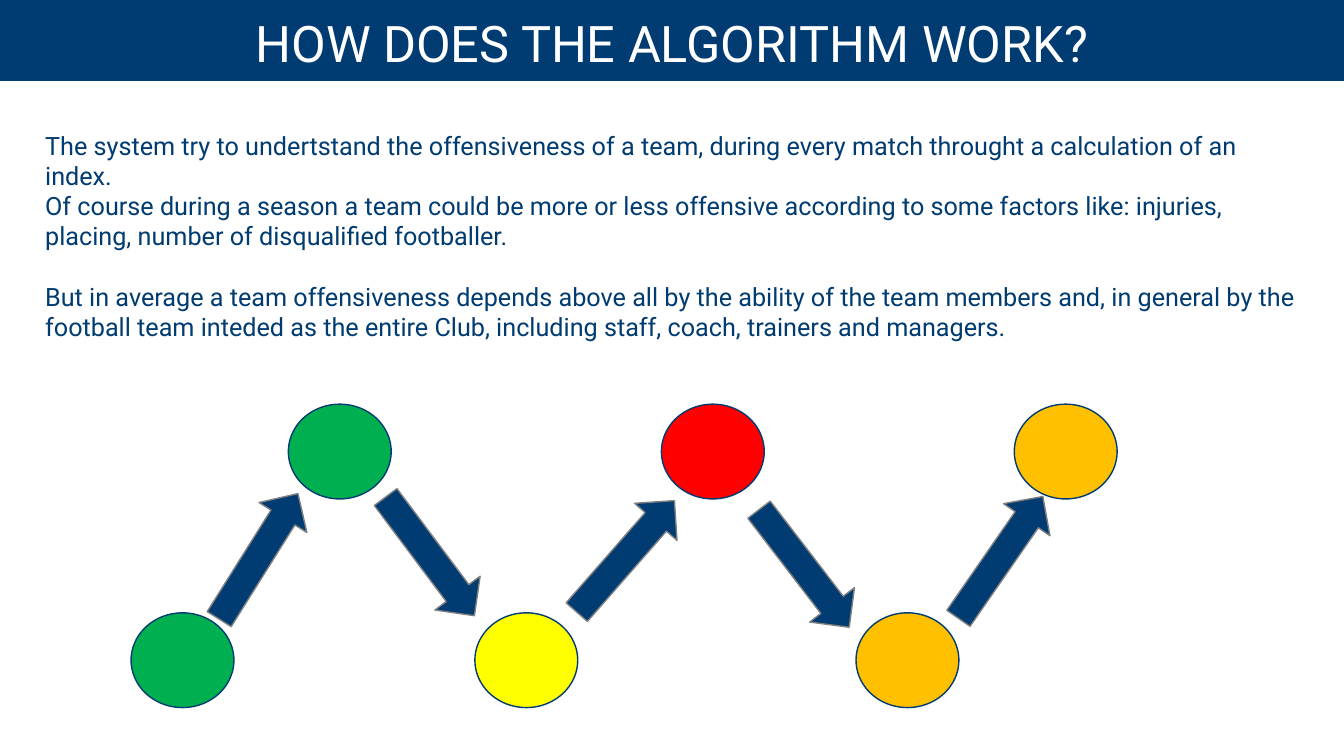
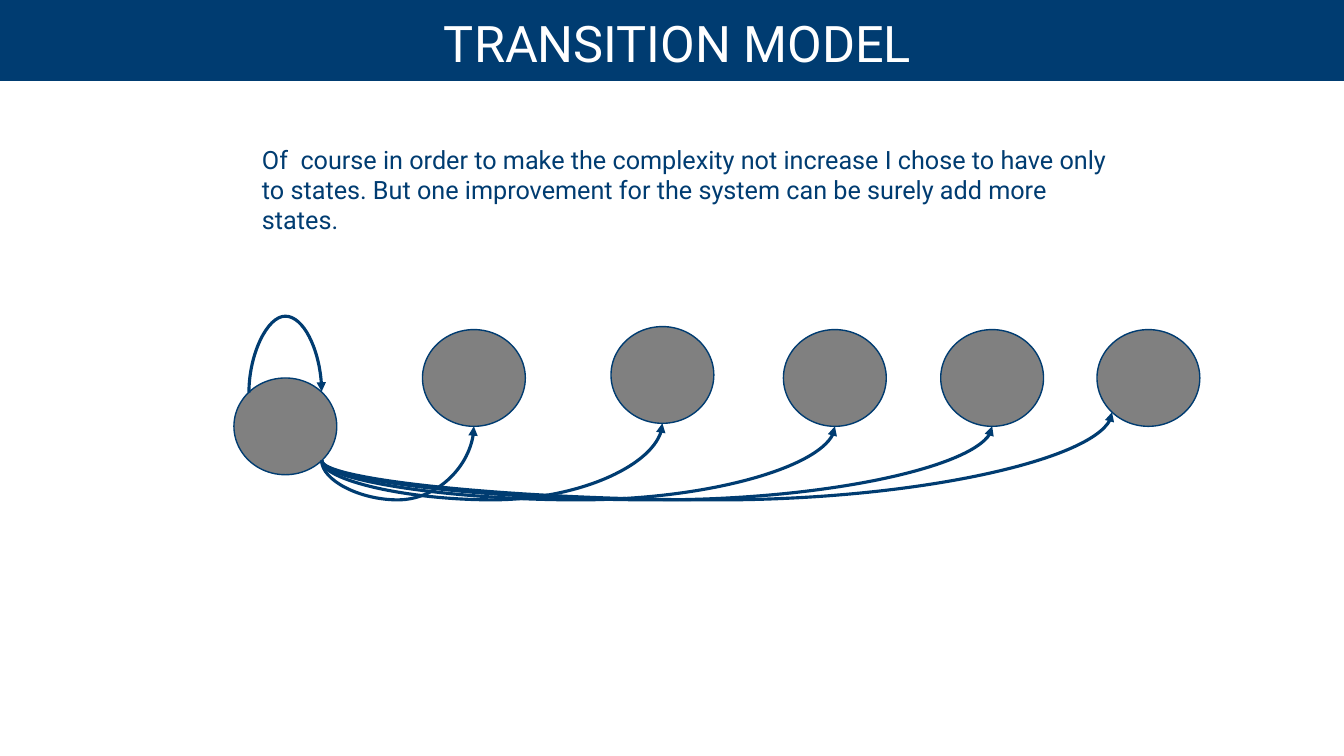
"""Build two slides on a team offensiveness algorithm and its transition model."""
import math
from dataclasses import dataclass

from lxml import etree
from pptx import Presentation
from pptx.dml.color import RGBColor
from pptx.enum import shapes, text
from pptx.oxml import ns
from pptx.util import Inches, Pt


@dataclass(frozen=True)
class Theme:
    navy: str = "003C71"
    white: str = "FFFFFF"
    gray: str = "808080"
    green: str = "00B050"
    red: str = "FF0000"
    yellow: str = "FFFF00"
    amber: str = "FFC000"
    font: str = "Roboto"
    title_size: float = 36
    body_size: float = 18
    paragraph_gap: float = 21.6
    outline: float = 1
    curve: float = 2.25


theme = Theme()
Preset = shapes.MSO_SHAPE


def add_preset(slide, preset, box, fill, line=theme.navy, rotation=0):
    shape = slide.shapes.add_shape(preset, *map(Inches, box))
    shape.shadow.inherit = False
    shape.fill.solid()
    shape.fill.fore_color.rgb = RGBColor.from_string(fill)
    shape.line.color.rgb = RGBColor.from_string(line)
    shape.line.width = Pt(theme.outline)
    shape.rotation = rotation
    return shape


def add_text(slide, box, paragraphs, size, color):
    frame = slide.shapes.add_textbox(*map(Inches, box)).text_frame
    frame.word_wrap = True
    for index, (words, gap) in enumerate(paragraphs):
        paragraph = frame.add_paragraph() if index else frame.paragraphs[0]
        paragraph.space_before = Pt(gap)
        run = paragraph.add_run()
        run.text = words
        run.font.name = theme.font
        run.font.size = Pt(size)
        run.font.color.rgb = RGBColor.from_string(color)
    return frame


presentation = Presentation()
presentation.slide_width = Inches(13.33)
presentation.slide_height = Inches(7.5)

slides = []
for title in ("HOW DOES THE ALGORITHM WORK?", " TRANSITION MODEL"):
    slide = presentation.slides.add_slide(presentation.slide_layouts[6])
    add_preset(slide, Preset.RECTANGLE, (0, 0, 13.33, 0.8), theme.navy)
    frame = add_text(slide, (0.25, 0.11, 12.83, 0.69), [(title, 0)],
                     theme.title_size, theme.white)
    frame.vertical_anchor = text.MSO_ANCHOR.MIDDLE
    frame.paragraphs[0].alignment = text.PP_ALIGN.CENTER
    frame.paragraphs[0].line_spacing = 0.9
    slides.append(slide)
algorithm_slide, transition_slide = slides

add_text(algorithm_slide, (0.35, 1.24, 12.64, 2.22), [
    ("The system try to undertstand the offensiveness of a team, during every match "
     "throught a calculation of an index.", 0),
    ("Of course during a season a team could be more or less offensive according to "
     "some factors like: injuries, placing, number of disqualified footballer.", 0),
    ("But in average a team offensiveness depends above all by the ability of the team "
     "members and, in general by the football team inteded as the entire Club, "
     "including staff, coach, trainers and managers.", theme.paragraph_gap),
], theme.body_size, theme.navy)

low_row, high_row = 6.08, 4.01
matches = [
    (1.3, low_row, theme.green), (2.86, high_row, theme.green),
    (4.71, low_row, theme.yellow), (6.56, high_row, theme.red),
    (8.49, low_row, theme.amber), (10.06, high_row, theme.amber),
]
for left, top, fill in matches:
    add_preset(algorithm_slide, Preset.FLOWCHART_CONNECTOR, (left, top, 1.02, 0.94), fill)

match_arrows = [
    (1.83, 5.24, 302.1), (3.53, 5.24, 53.2), (5.47, 5.24, 311.2),
    (7.24, 5.36, 52.5), (9.19, 5.25, 304.7),
]
for left, top, angle in match_arrows:
    add_preset(algorithm_slide, Preset.RIGHT_ARROW, (left, top, 1.47, 0.56),
               theme.navy, theme.gray, angle)

add_text(transition_slide, (2.5, 1.38, 8.79, 1.31), [
    ("Of  course in order to make the complexity not increase I chose to have only to "
     "states. But one improvement for the system can be surely add more states.", 0),
], theme.body_size, theme.navy)

state_width, state_height = 1.02, 0.96
state_places = [(2.32, 3.75), (4.19, 3.27), (6.06, 3.24),
                (7.77, 3.27), (9.33, 3.27), (10.88, 3.27)]
states = [
    add_preset(transition_slide, Preset.FLOWCHART_CONNECTOR,
               (left, top, state_width, state_height), theme.gray)
    for left, top in state_places
]

diagonal = math.sqrt(0.5)
top_left, bottom_left, bottom, bottom_right, top_right = 1, 3, 4, 5, 7
site_offsets = {
    top_left: (-diagonal, -diagonal), bottom_left: (-diagonal, diagonal),
    bottom: (0, 1), bottom_right: (diagonal, diagonal), top_right: (diagonal, -diagonal),
}
transitions = [(bottom_right, target, bottom, 4.96) for target in range(1, 5)]
transitions += [(bottom_right, 5, bottom_left, 4.96), (top_left, 0, top_right, 3.12)]

for start_site, target, end_site, bend in transitions:
    (start_x, start_y), (end_x, end_y) = [
        (state_places[state][0] + state_width / 2 * (1 + site_offsets[site][0]),
         state_places[state][1] + state_height / 2 * (1 + site_offsets[site][1]))
        for state, site in ((0, start_site), (target, end_site))
    ]
    run_length, rise = end_x - start_x, max(start_y - end_y, 0.01)
    middle_x, middle_y = (start_x + end_x) / 2, (start_y + end_y) / 2
    connector = transition_slide.shapes.add_connector(
        shapes.MSO_CONNECTOR.CURVE,
        Inches(middle_x + rise / 2), Inches(middle_y + run_length / 2),
        Inches(middle_x - rise / 2), Inches(middle_y - run_length / 2))
    connector.line.color.rgb = RGBColor.from_string(theme.navy)
    connector.line.width = Pt(theme.curve)

    properties = connector.element.find(ns.qn("p:spPr"))
    properties.find(ns.qn("a:xfrm")).set("rot", "5400000")
    adjustments = properties.find(".//" + ns.qn("a:avLst"))
    etree.SubElement(adjustments, ns.qn("a:gd"), name="adj1",
                     fmla=f"val {round((start_y - bend) / rise * 100000)}")
    etree.SubElement(properties.find(ns.qn("a:ln")), ns.qn("a:tailEnd"), type="triangle")
    etree.SubElement(properties, ns.qn("a:effectLst"))
    links = connector.element.find(".//" + ns.qn("p:cNvCxnSpPr"))
    for tag, state, site in (("a:stCxn", 0, start_site), ("a:endCxn", target, end_site)):
        etree.SubElement(links, ns.qn(tag), id=str(states[state].shape_id), idx=str(site))

presentation.save("out.pptx")
